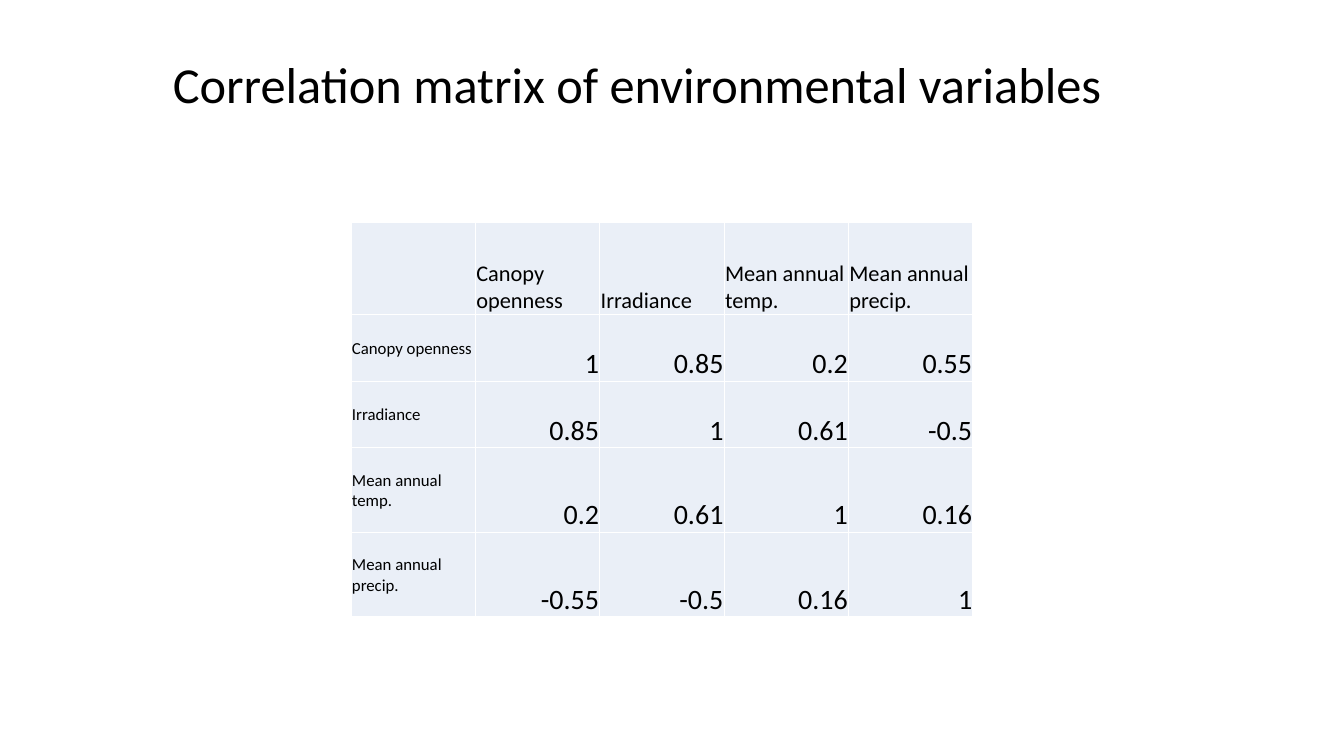
from dataclasses import dataclass

from lxml.etree import SubElement
from pptx import Presentation
from pptx.dml.color import RGBColor
from pptx.enum.text import MSO_ANCHOR, MSO_AUTO_SIZE, PP_ALIGN
from pptx.oxml.ns import qn
from pptx.util import Cm, Pt


@dataclass(frozen=True)
class Theme:
    """Colours, font and type sizes of the slide."""
    font: str = "Calibri"
    text: RGBColor = RGBColor(0, 0, 0)
    cell: RGBColor = RGBColor(0xEA, 0xEF, 0xF7)
    border: RGBColor = RGBColor(0xFF, 0xFF, 0xFF)
    title_size: int = 36
    header_size: int = 16
    label_size: int = 12
    value_size: int = 20


THEME = Theme()
VARIABLES = ["Canopy openness", "Irradiance", "Mean annual temp.", "Mean annual precip."]
CORRELATIONS = [
    ["1", "0.85", "0.2", "0.55"],
    ["0.85", "1", "0.61", "-0.5"],
    ["0.2", "0.61", "1", "0.16"],
    ["-0.55", "-0.5", "0.16", "1"],
]
ROW_SHARES = [0.92, 0.66, 0.66, 0.84, 0.84]


def style_paragraph(p, size, align=PP_ALIGN.LEFT):
    """Apply the theme font to a paragraph and its runs."""
    p.alignment = align
    for font in [p.font] + [r.font for r in p.runs]:
        font.name = THEME.font
        font.size = Pt(size)
        font.bold = False
        font.color.rgb = THEME.text


def add_borders(cell):
    """Draw a thin line on all four sides of a cell."""
    tc_pr = cell._tc.get_or_add_tcPr()
    for side in ("a:lnL", "a:lnR", "a:lnT", "a:lnB"):
        ln = SubElement(tc_pr, qn(side), w=str(Pt(1)))
        fill = SubElement(ln, qn("a:solidFill"))
        SubElement(fill, qn("a:srgbClr"), val=str(THEME.border))


def fill_cell(cell, text, size, align, anchor):
    """Write one table cell with its text, borders and fill."""
    cell.text_frame.text = text
    style_paragraph(cell.text_frame.paragraphs[0], size, align)
    cell.vertical_anchor = anchor
    cell.margin_left = cell.margin_right = cell.margin_top = Cm(0.02)
    cell.margin_bottom = 0
    add_borders(cell)
    cell.fill.solid()
    cell.fill.fore_color.rgb = THEME.cell


def add_title(s, text, left, top, width, height):
    """Place the slide title in the given box."""
    sp = s.shapes.title
    sp.left, sp.top, sp.width, sp.height = left, top, width, height
    tf = sp.text_frame
    tf.text = text
    tf.word_wrap = True
    tf.auto_size = MSO_AUTO_SIZE.SHAPE_TO_FIT_TEXT
    tf.vertical_anchor = MSO_ANCHOR.TOP
    style_paragraph(tf.paragraphs[0], THEME.title_size)


def add_matrix(s, left, top, width, height):
    """Place the correlation table in the given box."""
    n = len(VARIABLES) + 1
    table = s.shapes.add_table(n, n, left, top, width, height).table
    table.first_row = table.horz_banding = False
    for col in table.columns:
        col.width = width // n
    for row, share in zip(table.rows, ROW_SHARES):
        row.height = int(height * share / sum(ROW_SHARES))
    for c, name in enumerate([""] + VARIABLES):
        fill_cell(table.cell(0, c), name, THEME.header_size, PP_ALIGN.LEFT, MSO_ANCHOR.BOTTOM)
    for r, (name, values) in enumerate(zip(VARIABLES, CORRELATIONS), 1):
        fill_cell(table.cell(r, 0), name, THEME.label_size, PP_ALIGN.LEFT, MSO_ANCHOR.MIDDLE)
        for c, value in enumerate(values, 1):
            fill_cell(table.cell(r, c), value, THEME.value_size, PP_ALIGN.RIGHT, MSO_ANCHOR.BOTTOM)


def main():
    """Build the slide and save it."""
    prs = Presentation()
    prs.slide_width, prs.slide_height = Cm(33.87), Cm(19.05)
    s = prs.slides.add_slide(prs.slide_layouts[5])
    add_title(s, "Correlation matrix of environmental variables",
              Cm(4.1), Cm(1.22), Cm(25.73), Cm(1.8))
    add_matrix(s, Cm(8.85), Cm(5.6), Cm(15.67), Cm(9.95))
    prs.save("out.pptx")


if __name__ == "__main__":
    main()
